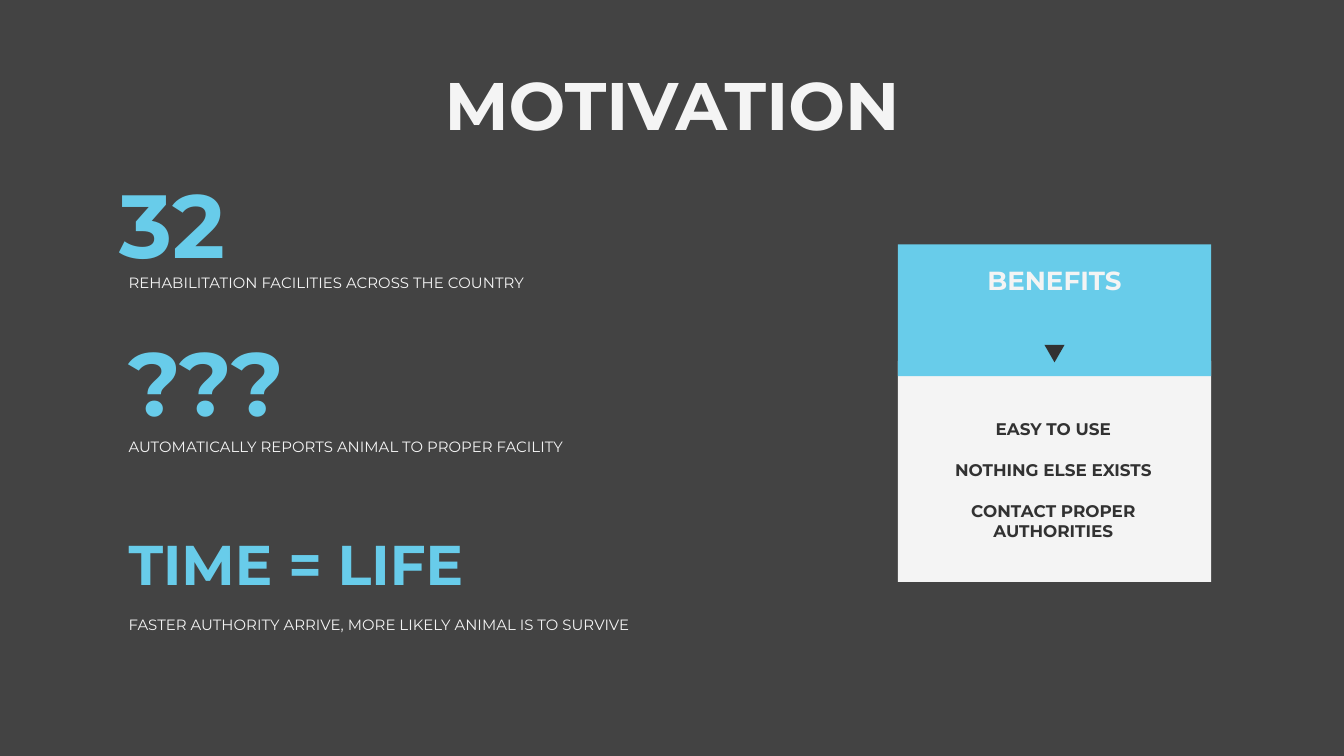
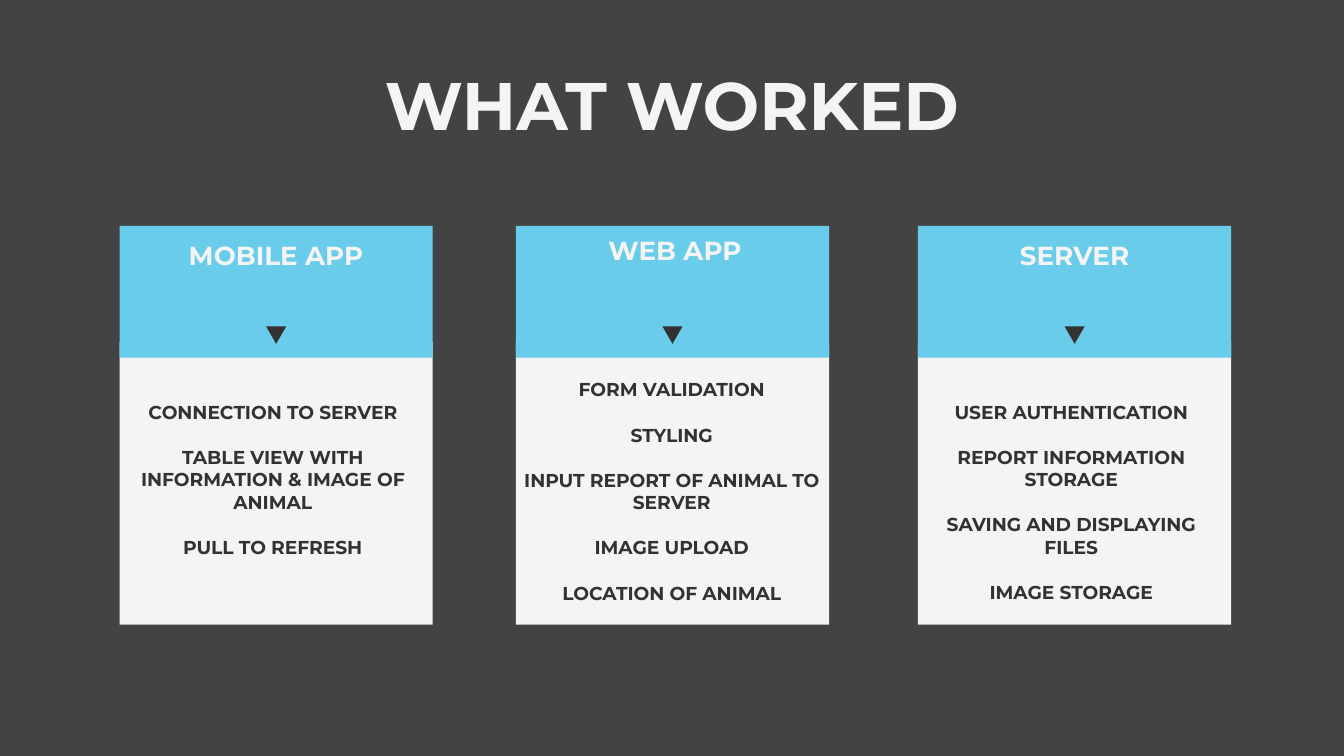
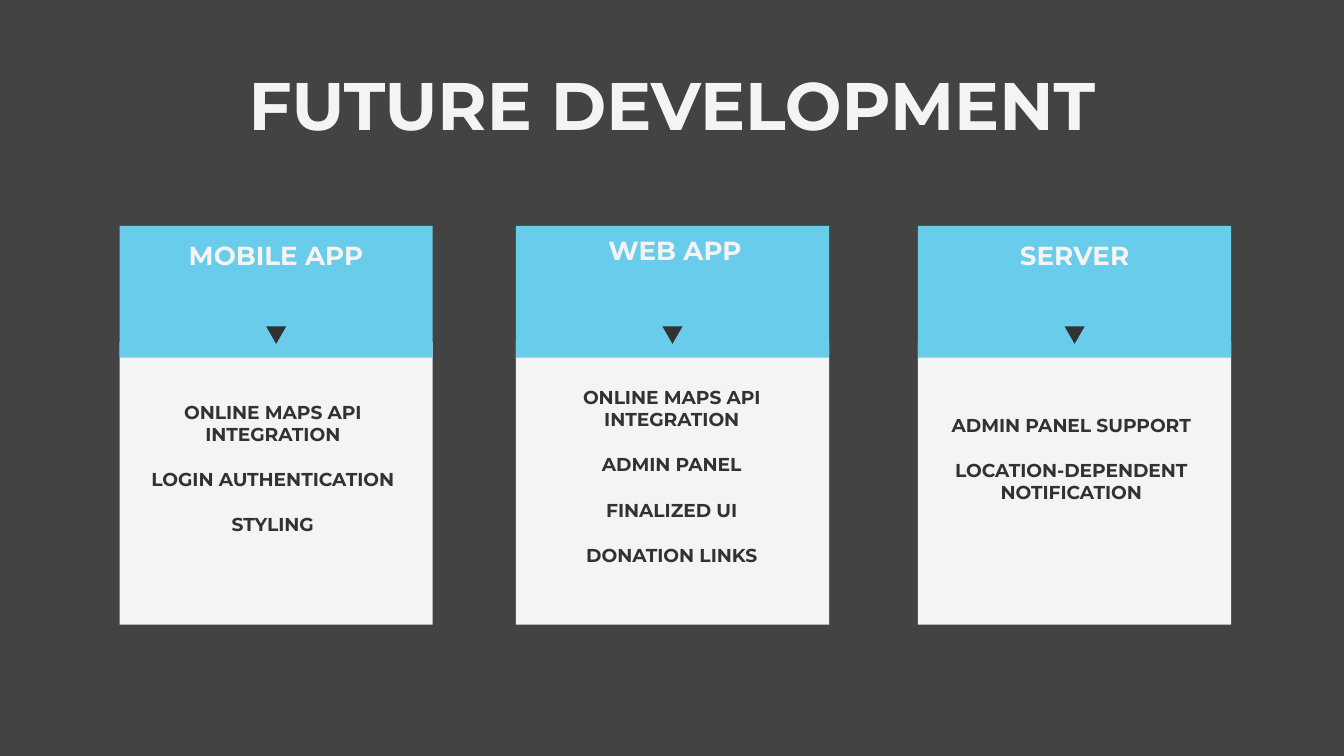
"""Build three slides on a project: motivation, what worked, future development."""
import dataclasses

import pptx
import pptx.dml.color
import pptx.enum.shapes
import pptx.enum.text
import pptx.util

Cm = pptx.util.Cm
Pt = pptx.util.Pt
Align = pptx.enum.text.PP_ALIGN
Anchor = pptx.enum.text.MSO_ANCHOR
Preset = pptx.enum.shapes.MSO_SHAPE


@dataclasses.dataclass(frozen=True)
class Theme:
    font: str = "Montserrat"
    background: str = "434343"
    accent: str = "68CCEA"
    light: str = "F4F4F4"
    dark: str = "323232"
    title_size: int = 36
    figure_size: int = 48
    slogan_size: int = 30
    heading_size: int = 14
    item_size: int = 10
    small_item_size: int = 9
    caption_size: int = 8
    line_pitch: float = 1.22


THEME = Theme()

STATEMENTS = [
    {"figure": "32", "size": THEME.figure_size, "anchor": Anchor.TOP,
     "figure_box": (2.01, 2.95, 13.49, 3.33),
     "caption": "REHABILITATION FACILITIES ACROSS THE COUNTRY",
     "caption_box": (2.18, 5, 10.75, 1.17)},
    {"figure": "???", "size": THEME.figure_size, "anchor": Anchor.TOP,
     "figure_box": (2.18, 5.94, 11.63, 3.33),
     "caption": "AUTOMATICALLY REPORTS ANIMAL TO PROPER FACILITY",
     "caption_box": (2.18, 8.1, 10.75, 1.17)},
    {"figure": "TIME = LIFE", "size": THEME.slogan_size, "anchor": Anchor.MIDDLE,
     "figure_box": (2.18, 8.76, 7.67, 3.76),
     "caption": "FASTER AUTHORITY ARRIVE, MORE LIKELY ANIMAL IS TO SURVIVE",
     "caption_box": (2.18, 10.97, 10.75, 1.68)},
]

BENEFITS = {
    "heading": "BENEFITS", "left": 16.97, "top": 4.62, "height": 6.38,
    "heading_shift": (0, 0.13), "list_shift": 0, "list_width": 5.87,
    "list_top": 7.67, "item_size": THEME.small_item_size,
    "items": ["EASY TO USE", "NOTHING ELSE EXISTS", "CONTACT PROPER AUTHORITIES"],
}

COLUMN = {"top": 4.27, "height": 7.54, "heading_shift": (0, 0),
          "list_shift": -0.13, "list_width": 6.05, "item_size": THEME.item_size}
COLUMNS = [
    {**COLUMN, "heading": "MOBILE APP", "left": 2.26},
    {**COLUMN, "heading": "WEB APP", "left": 9.75,
     "heading_shift": (0.05, -0.08), "list_width": 6.15},
    {**COLUMN, "heading": "SERVER", "left": 17.35},
]

COLUMN_SLIDES = [
    ("WHAT WORKED", [
        (7.32, ["CONNECTION TO SERVER",
                "TABLE VIEW WITH INFORMATION & IMAGE OF ANIMAL",
                "PULL TO REFRESH"]),
        (6.9, ["FORM VALIDATION", "STYLING", "INPUT REPORT OF ANIMAL TO SERVER",
               "IMAGE UPLOAD", "LOCATION OF ANIMAL"]),
        (7.32, ["USER AUTHENTICATION", "REPORT INFORMATION STORAGE",
                "SAVING AND DISPLAYING FILES", "IMAGE STORAGE"]),
    ]),
    ("FUTURE DEVELOPMENT", [
        (7.32, ["ONLINE MAPS API INTEGRATION", "LOGIN AUTHENTICATION", "STYLING"]),
        (7.04, ["ONLINE MAPS API INTEGRATION", "ADMIN PANEL", "FINALIZED UI",
                "DONATION LINKS"]),
        (7.57, ["ADMIN PANEL SUPPORT", "LOCATION-DEPENDENT NOTIFICATION"]),
    ]),
]

TITLE_BOX = (1.27, 0.58, 22.86, 2.39)
INSET = 0.25
CARD_WIDTH = 5.92
HEADER_HEIGHT = 2.49
BODY_OFFSET = 2.2
MARKER_OFFSET = 1.9
MARKER_WIDTH, MARKER_HEIGHT = 0.38, 0.33
HEADING_HEIGHT = 1.35
LIST_HEIGHT = 4.06


def color(value):
    return pptx.dml.color.RGBColor.from_string(value)


def add_text(slide, box, lines, size, ink, bold=True, align=Align.LEFT, anchor=Anchor.TOP):
    frame = slide.shapes.add_textbox(*map(Cm, box)).text_frame
    frame.word_wrap = True
    frame.vertical_anchor = anchor
    frame.margin_left = frame.margin_right = Cm(INSET)
    frame.margin_top = frame.margin_bottom = Cm(INSET)
    for index, line in enumerate(lines):
        paragraph = frame.add_paragraph() if index else frame.paragraphs[0]
        paragraph.alignment = align
        if index:
            paragraph.space_before = Pt(size * THEME.line_pitch)
        run = paragraph.add_run()
        run.text = line
        run.font.name = THEME.font
        run.font.size = Pt(size)
        run.font.bold = bold
        run.font.color.rgb = color(ink)


def add_block(slide, preset, box, fill):
    shape = slide.shapes.add_shape(preset, *map(Cm, box))
    shape.shadow.inherit = False
    shape.fill.solid()
    shape.fill.fore_color.rgb = color(fill)
    shape.line.fill.background()


def add_card(slide, card):
    left, top = card["left"], card["top"]
    shift_x, shift_y = card["heading_shift"]
    add_block(slide, Preset.RECTANGLE,
              (left, top + BODY_OFFSET, CARD_WIDTH, card["height"] - BODY_OFFSET), THEME.light)
    add_block(slide, Preset.RECTANGLE, (left, top, CARD_WIDTH, HEADER_HEIGHT), THEME.accent)
    add_text(slide, (left + shift_x, top + shift_y, CARD_WIDTH, HEADING_HEIGHT),
             [card["heading"]], THEME.heading_size, THEME.light, align=Align.CENTER)
    add_block(slide, Preset.FLOWCHART_MERGE,
              (left + (CARD_WIDTH - MARKER_WIDTH) / 2, top + MARKER_OFFSET,
               MARKER_WIDTH, MARKER_HEIGHT), THEME.dark)
    add_text(slide, (left + card["list_shift"], card["list_top"], card["list_width"], LIST_HEIGHT),
             card["items"], card["item_size"], THEME.dark, align=Align.CENTER)


def add_titled_slide(presentation, title):
    slide = presentation.slides.add_slide(presentation.slide_layouts[6])
    slide.background.fill.solid()
    slide.background.fill.fore_color.rgb = color(THEME.background)
    add_text(slide, TITLE_BOX, [title], THEME.title_size, THEME.light,
             align=Align.CENTER, anchor=Anchor.BOTTOM)
    return slide


def main():
    presentation = pptx.Presentation()
    presentation.slide_width, presentation.slide_height = Cm(25.4), Cm(14.29)

    slide = add_titled_slide(presentation, "MOTIVATION")
    for statement in STATEMENTS:
        add_text(slide, statement["figure_box"], [statement["figure"]], statement["size"],
                 THEME.accent, anchor=statement["anchor"])
        add_text(slide, statement["caption_box"], [statement["caption"]], THEME.caption_size,
                 THEME.light, bold=False, anchor=statement["anchor"])
    add_card(slide, BENEFITS)

    for title, lists in COLUMN_SLIDES:
        slide = add_titled_slide(presentation, title)
        for column, (list_top, items) in zip(COLUMNS, lists):
            add_card(slide, {**column, "list_top": list_top, "items": items})

    presentation.save("out.pptx")


if __name__ == "__main__":
    main()
